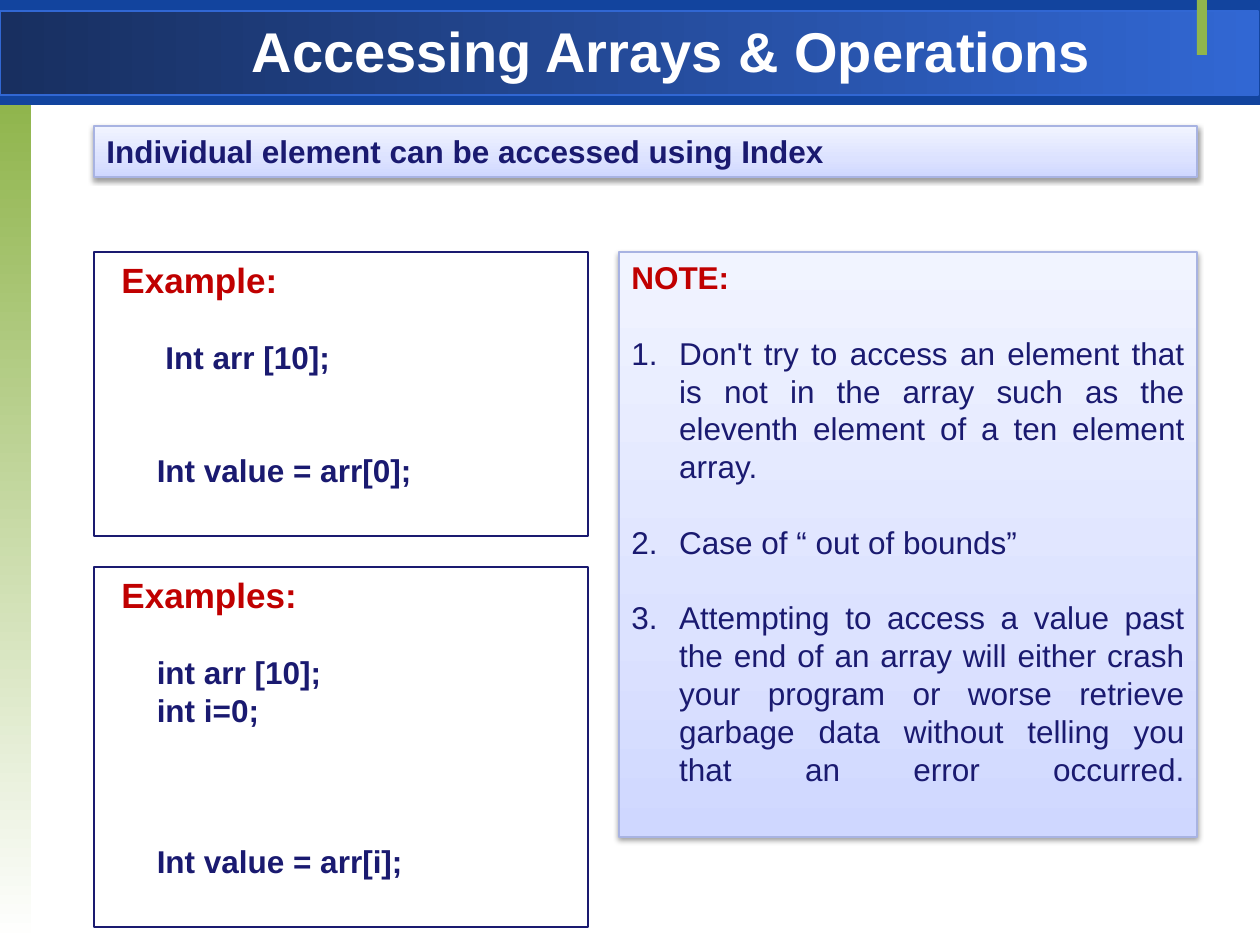
from lxml.etree import SubElement
from pptx import Presentation
from pptx.dml.color import RGBColor
from pptx.enum.shapes import MSO_SHAPE
from pptx.enum.text import MSO_ANCHOR, PP_ALIGN
from pptx.oxml.ns import qn
from pptx.util import Emu, Inches, Pt

WHITE = RGBColor(0xFF, 0xFF, 0xFF)
BAND_BLUE = RGBColor(0x12, 0x44, 0x9E)
DEEP_BLUE = RGBColor(0x18, 0x2F, 0x60)
BRIGHT_BLUE = RGBColor(0x31, 0x67, 0xD3)
GREEN = RGBColor(0x90, 0xB5, 0x4D)
NAVY = RGBColor(0x1A, 0x1A, 0x70)
RED = RGBColor(0xC0, 0x00, 0x00)
PANEL_LINE = RGBColor(0xA8, 0xB3, 0xE2)
PANEL_STOPS = [(0, RGBColor(0xCF, 0xD7, 0xFF)), (35, RGBColor(0xDC, 0xE2, 0xFF)),
               (100, RGBColor(0xF1, 0xF4, 0xFF))]
BLACK = RGBColor(0, 0, 0)


def px(length):
    return Emu(round(length * 914400 / 126))


class SlideBuilder:
    font = "Arial"
    line_pt = 21.6  # height of one 18 pt line

    def __init__(self, slide):
        self.slide = slide

    def box(self, left, top, width, height, fill=None, line=None):
        shape = self.slide.shapes.add_shape(
            MSO_SHAPE.RECTANGLE, px(left), px(top), px(width), px(height))
        shape.shadow.inherit = False
        if fill is None:
            shape.fill.background()
        else:
            shape.fill.solid()
            shape.fill.fore_color.rgb = fill
        if line is None:
            shape.line.fill.background()
        else:
            shape.line.color.rgb = line
            shape.line.width = Pt(0.75)
        shape.text_frame.vertical_anchor = MSO_ANCHOR.TOP
        return shape

    def gradient_box(self, left, top, width, height, stops, angle, line=None):
        shape = self.box(left, top, width, height, line=line)
        shape.fill.gradient()
        shape.fill.gradient_angle = angle
        stop_list = shape.element.spPr.find(qn("a:gradFill")).find(qn("a:gsLst"))
        for old_stop in list(stop_list):
            stop_list.remove(old_stop)
        for position, color in stops:
            stop = SubElement(stop_list, qn("a:gs"), pos=str(position * 1000))
            SubElement(stop, qn("a:srgbClr"), val=str(color))
        return shape

    def panel(self, left, top, width, height):
        shape = self.gradient_box(left, top, width, height, PANEL_STOPS, 90, PANEL_LINE)
        effects = shape.element.spPr.find(qn("a:effectLst"))
        shadow = SubElement(effects, qn("a:outerShdw"), blurRad="40000", dist="20000",
                            dir="5400000", rotWithShape="0")
        color = SubElement(shadow, qn("a:srgbClr"), val=str(BLACK))
        SubElement(color, qn("a:alpha"), val="38000")
        return shape

    def text(self, shape, content, size=18, color=NAVY, bold=True, align=PP_ALIGN.LEFT,
             gap_lines=0, margin=0, indent=0, numbered=False):
        """Write content as the next paragraph; gap_lines is the space above it."""
        frame = shape.text_frame
        frame.word_wrap = True
        paragraph = frame.paragraphs[0] if not frame.text else frame.add_paragraph()
        paragraph.text = content
        paragraph.alignment = align
        paragraph.space_before = Pt(gap_lines * self.line_pt)
        font = paragraph.font
        font.name, font.size, font.bold = self.font, Pt(size), bold
        font.color.rgb = color
        properties = paragraph._p.get_or_add_pPr()
        properties.set("marL", str(Inches(margin)))
        properties.set("indent", str(Inches(indent)))
        if numbered:
            numbering = properties.makeelement(qn("a:buAutoNum"), {"type": "arabicPeriod"})
            properties.find(qn("a:defRPr")).addprevious(numbering)

    def title(self, left, top, width, height, content):
        shape = self.slide.shapes.add_textbox(px(left), px(top), px(width), px(height))
        self.text(shape, content, 32, WHITE, align=PP_ALIGN.CENTER)

    def code_box(self, top, height, heading, code):
        shape = self.box(94, top, 494, height, line=NAVY)
        self.text(shape, heading, 20, RED, align=PP_ALIGN.JUSTIFY, margin=0.4, indent=-0.28)
        for gap, statement in code:
            self.text(shape, statement, align=PP_ALIGN.JUSTIFY, gap_lines=gap, margin=0.4)


deck = Presentation()
deck.slide_width, deck.slide_height = px(1260), px(945)
builder = SlideBuilder(deck.slides.add_slide(deck.slide_layouts[6]))

# Header band and green accents
builder.box(0, 0, 1260, 105, BAND_BLUE)
builder.gradient_box(0, 11, 1258, 84, [(0, DEEP_BLUE), (100, BRIGHT_BLUE)], 0, BRIGHT_BLUE)
builder.gradient_box(0, 105, 31, 837, [(0, GREEN), (100, WHITE)], 270)
builder.box(1197, 0, 10, 55, GREEN)
builder.title(199, 10, 945, 73, "Accessing Arrays & Operations")

# Key statement
statement_panel = builder.panel(94, 126, 1103, 51)
builder.text(statement_panel, "Individual element can be accessed using Index")

# Code examples
builder.code_box(252, 284, "Example:", [(1, " Int arr [10];"), (2, "Int value = arr[0];")])
builder.code_box(567, 360, "Examples:",
                 [(1, "int arr [10];"), (0, "int i=0;"), (3, "Int value = arr[i];")])

# Numbered notes
note_panel = builder.panel(619, 252, 578, 585)
builder.text(note_panel, "NOTE:", color=RED)
notes = [
    "Don't try to access an element that is not in the array such as the eleventh "
    "element of a ten element array.",
    "Case of \u201c out of bounds\u201d",
    "Attempting to access a value past the end of an array will either crash your program "
    "or worse retrieve garbage data without telling you that an error occurred.\v",
]
for note in notes:
    builder.text(note_panel, note, bold=False, align=PP_ALIGN.JUSTIFY, gap_lines=1,
                 margin=0.38, indent=-0.38, numbered=True)

deck.save("out.pptx")
